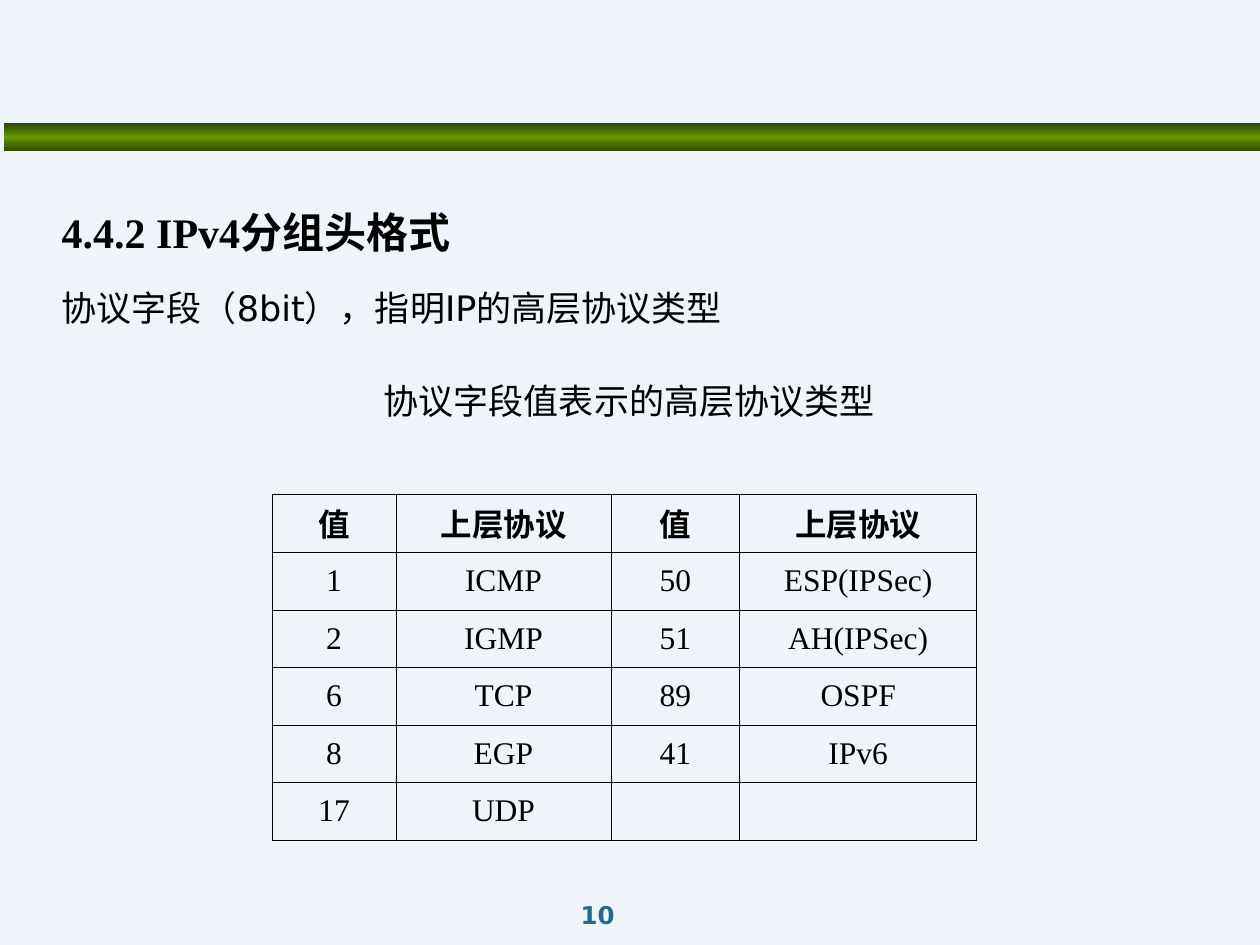
from copy import deepcopy
from dataclasses import dataclass

from lxml.etree import SubElement
from pptx import Presentation
from pptx.dml.color import RGBColor
from pptx.enum.shapes import MSO_SHAPE as Preset
from pptx.enum.text import MSO_ANCHOR as Anchor, MSO_AUTO_SIZE as AutoSize, PP_ALIGN as Align
from pptx.oxml.ns import qn
from pptx.util import Cm, Pt


@dataclass(frozen=True)
class Theme:
    background: str = "EEF4F9"
    bar_edge: str = "2F4700"
    bar_middle: str = "669900"
    ink: str = "000000"
    number_ink: str = "29698D"
    serif: str = "Times New Roman"
    sans: str = "DejaVu Sans"
    chinese: str = "Noto Sans CJK SC"
    header: str = "Calibri"
    heading_size: float = 24
    body_size: float = 20
    table_size: float = 18
    number_size: float = 14
    border_width: float = 0.45


@dataclass(frozen=True)
class Box:
    left: float
    top: float
    width: float
    height: float

    def lengths(self) -> tuple:
        return Cm(self.left), Cm(self.top), Cm(self.width), Cm(self.height)


@dataclass(frozen=True)
class Line:
    text: str
    size: float
    font: str
    bold: bool = False
    color: str = "000000"
    align: Align = Align.LEFT
    spacing: float = 1.0
    before: float = 0


THEME = Theme()
BAR = Box(0.08, 2.49, 25.32, 0.56)
HEADING = Box(0.99, 3.53, 23.39, 1.7)
BODY = Box(0.99, 5.23, 23.39, 4.3)
TABLE = Box(5.49, 9.96, 14.2, 6.96)
PAGE_NUMBER = Box(9.09, 18.01, 5.92, 0.81)
COLUMN_WIDTHS = (2.49, 4.34, 2.59, 4.78)
PROTOCOLS = (
    ("值", "上层协议", "值", "上层协议"),
    ("1", "ICMP", "50", "ESP(IPSec)"),
    ("2", "IGMP", "51", "AH(IPSec)"),
    ("6", "TCP", "89", "OSPF"),
    ("8", "EGP", "41", "IPv6"),
    ("17", "UDP", "", ""),
)


def write_line(paragraph, line: Line) -> None:
    paragraph.alignment = line.align
    paragraph.line_spacing = line.spacing
    paragraph.space_before = Pt(line.before)
    run = paragraph.add_run()
    run.text = line.text
    run.font.size = Pt(line.size)
    run.font.name = line.font
    run.font.bold = line.bold
    run.font.color.rgb = RGBColor.from_string(line.color)
    SubElement(run.font._element, qn("a:ea")).set("typeface", THEME.chinese)


def write_frame(frame, lines: list[Line]) -> None:
    frame.word_wrap = True
    frame.auto_size = AutoSize.NONE
    frame.vertical_anchor = Anchor.TOP
    for index, line in enumerate(lines):
        paragraph = frame.add_paragraph() if index else frame.paragraphs[0]
        write_line(paragraph, line)


def add_text(slide, box: Box, lines: list[Line]) -> None:
    write_frame(slide.shapes.add_textbox(*box.lengths()).text_frame, lines)


def add_heading(slide, box: Box, line: Line) -> None:
    title = slide.shapes.title
    title.left, title.top, title.width, title.height = box.lengths()
    write_frame(title.text_frame, [line])


def add_bar(slide, box: Box) -> None:
    bar = slide.shapes.add_shape(Preset.RECTANGLE, *box.lengths())
    bar.shadow.inherit = False
    bar.line.fill.background()
    bar.fill.gradient()
    bar.fill.gradient_angle = 90
    stop_list = bar._element.spPr.find(f".//{qn('a:gsLst')}")
    stop_list.append(deepcopy(stop_list[0]))
    colors = (THEME.bar_edge, THEME.bar_middle, THEME.bar_edge)
    for stop, color, position in zip(bar.fill.gradient_stops, colors, (0, 0.5, 1)):
        stop.color.rgb = RGBColor.from_string(color)
        stop.position = position


def add_borders(cell) -> None:
    properties = cell._tc.get_or_add_tcPr()
    for index, side in enumerate(("lnL", "lnR", "lnT", "lnB")):
        border = properties.makeelement(qn(f"a:{side}"), {"w": str(Pt(THEME.border_width))})
        fill = SubElement(border, qn("a:solidFill"))
        SubElement(fill, qn("a:srgbClr")).set("val", THEME.ink)
        properties.insert(index, border)


def add_protocol_table(slide, box: Box) -> None:
    frame = slide.shapes.add_table(len(PROTOCOLS), len(COLUMN_WIDTHS), *box.lengths())
    table = frame.table
    table.horz_banding = False
    for column, width in zip(table.columns, COLUMN_WIDTHS):
        column.width = Cm(width)
    for row_index, texts in enumerate(PROTOCOLS):
        is_header = row_index == 0
        font = THEME.header if is_header else THEME.serif
        table.rows[row_index].height = Cm(box.height / len(PROTOCOLS))
        for column_index, text in enumerate(texts):
            cell = table.cell(row_index, column_index)
            cell.fill.background()
            cell.vertical_anchor = Anchor.MIDDLE
            cell.margin_left = cell.margin_right = Cm(0.2)
            add_borders(cell)
            if text:
                line = Line(text, THEME.table_size, font, is_header, THEME.ink, Align.CENTER)
                write_line(cell.text_frame.paragraphs[0], line)


def main() -> None:
    presentation = Presentation()
    presentation.slide_width, presentation.slide_height = Cm(25.4), Cm(19.05)
    slide = presentation.slides.add_slide(presentation.slide_layouts[5])
    slide.background.fill.solid()
    slide.background.fill.fore_color.rgb = RGBColor.from_string(THEME.background)

    add_bar(slide, BAR)
    add_heading(slide, HEADING, Line(
        "4.4.2 IPv4分组头格式", THEME.heading_size, THEME.serif, True, spacing=1.5))
    add_text(slide, BODY, [
        Line("协议字段（8bit），指明IP的高层协议类型", THEME.body_size, THEME.sans, spacing=1.5),
        Line("协议字段值表示的高层协议类型", THEME.body_size, THEME.chinese,
             align=Align.CENTER, spacing=2, before=5),
    ])
    add_protocol_table(slide, TABLE)
    add_text(slide, PAGE_NUMBER, [
        Line("10", THEME.number_size, THEME.sans, True, THEME.number_ink, Align.CENTER)])
    presentation.save("out.pptx")


if __name__ == "__main__":
    main()
